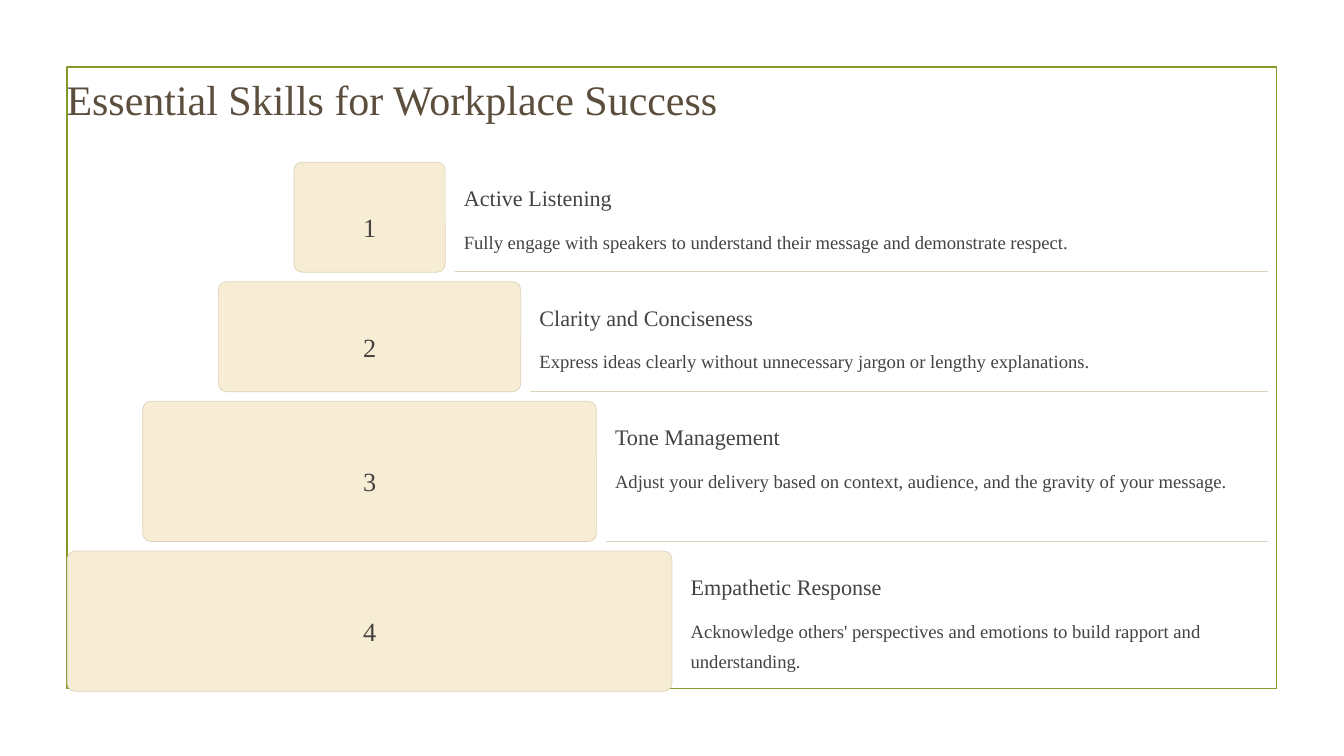
"""Build the slide on essential skills for workplace success."""
from pptx import Presentation
from pptx import util as u
from pptx.dml.color import RGBColor
from pptx.enum import shapes, text
from pptx.oxml.ns import qn
from lxml import etree

FONT = "Times New Roman"
INK, TITLE_INK, GREEN, CREAM, SAND = "454240", "5C4E3D", "83992A", "F7EDD4", "DDD3BA"
AXIS, HALF_STEP, GAP = 316.8, 64.8, 8.2
RULE_END, TEXT_END = 1086.5, 1078.6

SKILLS = [
    ("Active Listening", 94.3,
     "Fully engage with speakers to understand their message and demonstrate respect."),
    ("Clarity and Conciseness", 94.3,
     "Express ideas clearly without unnecessary jargon or lengthy explanations."),
    ("Tone Management", 120.2,
     "Adjust your delivery based on context, audience, and the gravity of your message."),
    ("Empathetic Response", 120.2,
     "Acknowledge others' perspectives and emotions to build rapport and understanding."),
]


def colour(value):
    return RGBColor.from_string(value)


def write(holder, words, size, spacing, ink=INK, align=text.PP_ALIGN.LEFT):
    frame = holder.text_frame
    frame.text = words
    frame.word_wrap = True
    frame.auto_size = text.MSO_AUTO_SIZE.NONE
    frame.vertical_anchor = text.MSO_ANCHOR.TOP
    frame.margin_left = frame.margin_right = frame.margin_top = frame.margin_bottom = 0
    paragraph = frame.paragraphs[0]
    paragraph.alignment = align
    paragraph.line_spacing = u.Pt(spacing)
    font = paragraph.runs[0].font
    font.name, font.size = FONT, u.Pt(size)
    font.color.rgb = colour(ink)


def add_label(slide, left, top, width, height, words, size, spacing, **style):
    label = slide.shapes.add_textbox(u.Pt(left), u.Pt(top), u.Pt(width), u.Pt(height))
    write(label, words, size, spacing, **style)


def add_box(slide, kind, left, top, width, height, line, weight, fill=None):
    box = slide.shapes.add_shape(kind, u.Pt(left), u.Pt(top), u.Pt(width), u.Pt(height))
    box.shadow.inherit = False
    if fill:
        box.fill.solid()
        box.fill.fore_color.rgb = colour(fill)
    else:
        box.fill.background()
    box.line.color.rgb = colour(line)
    box.line.width = u.Pt(weight)
    return box


def add_rule(slide, left, right, y):
    rule = slide.shapes.add_connector(
        shapes.MSO_CONNECTOR.STRAIGHT, u.Pt(left), u.Pt(y), u.Pt(right), u.Pt(y))
    rule.line.color.rgb = colour(SAND)
    rule.line.width = u.Pt(0.9)
    etree.SubElement(rule._element.spPr, qn("a:effectLst"))


def add_title(slide, words):
    title = slide.shapes.title
    title.left, title.top = u.Pt(57), u.Pt(55.5)
    title.width, title.height = u.Pt(784), u.Pt(51)
    write(title, words, 36, 51, ink=TITLE_INK)


def add_step(slide, number, top, height, skill, advice):
    half = HALF_STEP * number
    edge = AXIS + half
    block = add_box(slide, shapes.MSO_SHAPE.ROUNDED_RECTANGLE,
                    AXIS - half, top, 2 * half, height, SAND, 0.6, CREAM)
    block.adjustments[0] = 6.87 / height
    add_label(slide, AXIS - 11.5, top + height / 2 - 14.4, 23, 29, str(number), 22.5, 36.5,
              align=text.PP_ALIGN.CENTER)
    text_left = edge + 16
    add_label(slide, text_left, top + 16.4, 250, 25.5, skill, 19, 25.5)
    add_label(slide, text_left, top + 51.7, TEXT_END - text_left, height - 67.7,
              advice, 16, 26)
    if number < len(SKILLS):
        add_rule(slide, edge + 8, RULE_END, top + height - 0.4)


def main():
    deck = Presentation()
    deck.slide_width, deck.slide_height = u.Pt(1152), u.Pt(648)
    slide = deck.slides.add_slide(deck.slide_layouts[5])
    add_box(slide, shapes.MSO_SHAPE.RECTANGLE, 57.6, 57.6, 1036.8, 532.8, GREEN, 1.25)
    add_title(slide, "Essential Skills for Workplace Success")
    top = 139
    for number, (skill, height, advice) in enumerate(SKILLS, 1):
        add_step(slide, number, top, height, skill, advice)
        top += height + GAP
    deck.save("out.pptx")


if __name__ == "__main__":
    main()
